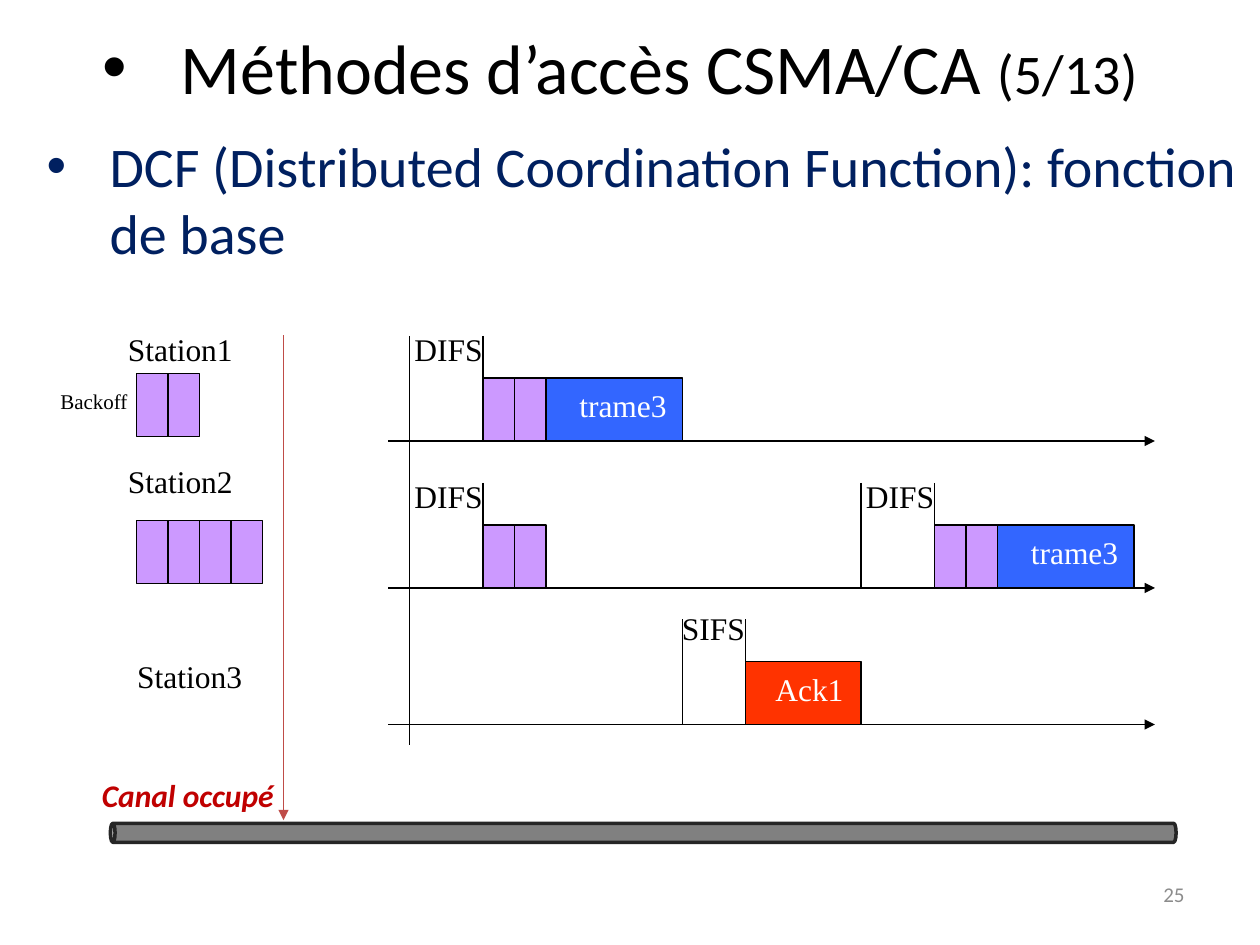
from lxml import etree
from pptx import Presentation
from pptx import util as u
from pptx.dml.color import RGBColor
from pptx.enum import shapes, text
from pptx.oxml.ns import qn

SERIF, SANS = "Times New Roman", "Calibri"
BLACK, WHITE, PURPLE, BLUE, RED = "000000", "FFFFFF", "CC99FF", "3366FF", "FF3300"
LANES = [252, 336, 414]
AXIS = (222, 660)
SLOT_W, BLOCK_H, WALL_H = 18, 36, 60

TITLE = [("Méthodes d’accès CSMA/CA ", 40), ("(5/13)", 32)]
BODY = [("DCF (Distributed Coordination Function): fonction de base", 32)]
STATIONS = [("Station1", 66, 185), ("Station2", 66, 260.5), ("Station3", 71.3, 372)]
BACKOFFS = [(78, 213.5, 2), (78, 297.5, 4)]
SLOTS = [(276, 0, 2), (276, 1, 2), (534, 1, 2)]
FRAMES = [("trame3", 312, 0, 78, 12, BLUE), ("trame3", 570, 1, 78, 12, BLUE),
          ("Ack1", 426, 2, 66, 10, RED)]
GAPS = [("DIFS", 276, 0, 53.3, 67), ("DIFS", 276, 1, 53.3, 67),
        ("DIFS", 534, 1, 53.3, 67), ("SIFS", 426, 2, 50.4, 70)]
WALLS = [(276, 0), (276, 1), (492, 1), (534, 1), (390, 2), (426, 2)]


def rgb(value):
    return RGBColor.from_string(value)


def apply(target, values):
    for name, value in values.items():
        setattr(target, name, value)


def place(shape, left, top, width, height):
    apply(shape, dict(left=u.Pt(left), top=u.Pt(top), width=u.Pt(width), height=u.Pt(height)))


def write(shape, runs, color, font, align=text.PP_ALIGN.LEFT, anchor=text.MSO_ANCHOR.TOP,
          wrap=True, **style):
    frame = shape.text_frame
    apply(frame, dict(word_wrap=wrap, vertical_anchor=anchor, auto_size=text.MSO_AUTO_SIZE.NONE))
    paragraph = frame.paragraphs[0]
    paragraph.alignment = align
    for words, size in runs:
        run = paragraph.add_run()
        run.text = words
        apply(run.font, dict(name=font, size=u.Pt(size), **style))
        run.font.color.rgb = rgb(color)
    return paragraph


def label(slide, words, box, size=18, color=BLACK, font=SERIF, **options):
    holder = slide.shapes.add_textbox(*map(u.Pt, box))
    write(holder, [(words, size)], color, font, **options)


def bulleted(holder, box, runs, color, indent, **options):
    place(holder, *box)
    paragraph = write(holder, runs, color, SANS, **options)
    props = paragraph._p.get_or_add_pPr()
    props.set("marL", str(u.Pt(indent)))
    props.set("indent", str(-u.Pt(indent)))
    etree.SubElement(props, qn("a:buFont")).set("typeface", "Arial")
    etree.SubElement(props, qn("a:buChar")).set("char", "•")


def block(slide, box, fill, kind=shapes.MSO_SHAPE.RECTANGLE, line=BLACK, weight=0.75):
    shape = slide.shapes.add_shape(kind, *map(u.Pt, box))
    shape.shadow.inherit = False
    shape.fill.solid()
    shape.fill.fore_color.rgb = rgb(fill)
    shape.line.color.rgb = rgb(line)
    shape.line.width = u.Pt(weight)
    return shape


def rule(slide, ends, color=BLACK, arrow=False):
    line = slide.shapes.add_connector(shapes.MSO_CONNECTOR.STRAIGHT, *map(u.Pt, ends))
    line.line.color.rgb = rgb(color)
    line.line.width = u.Pt(0.75)
    if arrow:
        etree.SubElement(line.line._get_or_add_ln(), qn("a:tailEnd")).set("type", "triangle")
    etree.SubElement(line._element.spPr, qn("a:effectLst"))


def slots(slide, left, top, count):
    for i in range(count):
        block(slide, (left + i * SLOT_W, top, SLOT_W, BLOCK_H), PURPLE)


def main():
    deck = Presentation()
    apply(deck, dict(slide_width=u.Pt(720), slide_height=u.Pt(540)))
    slide = deck.slides.add_slide(deck.slide_layouts[1])
    middle = text.MSO_ANCHOR.MIDDLE
    title, body = slide.placeholders
    bulleted(title, (-11.5, -14.4, 731.5, 104.4), TITLE, BLACK, 45,
             align=text.PP_ALIGN.CENTER, anchor=middle)
    bulleted(body, (19.4, 71.3, 700.6, 85), BODY, "002060", 36)

    for name, left, top in STATIONS:
        label(slide, name, (left, top, 100, 29))
    label(slide, "Backoff", (27.4, 218.2, 53.3, 21.6), size=12, anchor=middle)
    for backoff in BACKOFFS:
        slots(slide, *backoff)

    for base in LANES:
        rule(slide, (AXIS[0], base, AXIS[1], base), arrow=True)
    rule(slide, (234, 192, 234, 426))
    for left, lane, count in SLOTS:
        slots(slide, left, LANES[lane] - BLOCK_H, count)
    for name, left, lane, width, inset, fill in FRAMES:
        top = LANES[lane] - BLOCK_H
        block(slide, (left, top, width, BLOCK_H), fill)
        label(slide, name, (left + inset, top + 1.2, width - inset, 29), color=WHITE)
    for x, lane in WALLS:
        rule(slide, (x, LANES[lane] - WALL_H, x, LANES[lane]))
    for name, wall, lane, width, rise in GAPS:
        label(slide, name, (wall + 7 - width, LANES[lane] - rise, width, 29),
              anchor=middle, wrap=False)

    channel = block(slide, (362.2, 171.4, 10.8, 609), "808080", shapes.MSO_SHAPE.CAN, "262626", 2)
    channel.rotation = 270
    label(slide, "Canal occupé", (51.1, 440, 113.8, 29), color="C00000", font=SANS,
          wrap=False, bold=True, italic=True)
    rule(slide, (162, 191.5, 162, 468.7), "BF4C48", arrow=True)
    label(slide, "25", (516, 496.8, 168, 28.8), size=12, color="8C8C8C", font=SANS,
          align=text.PP_ALIGN.RIGHT, anchor=middle)
    deck.save("out.pptx")


if __name__ == "__main__":
    main()
